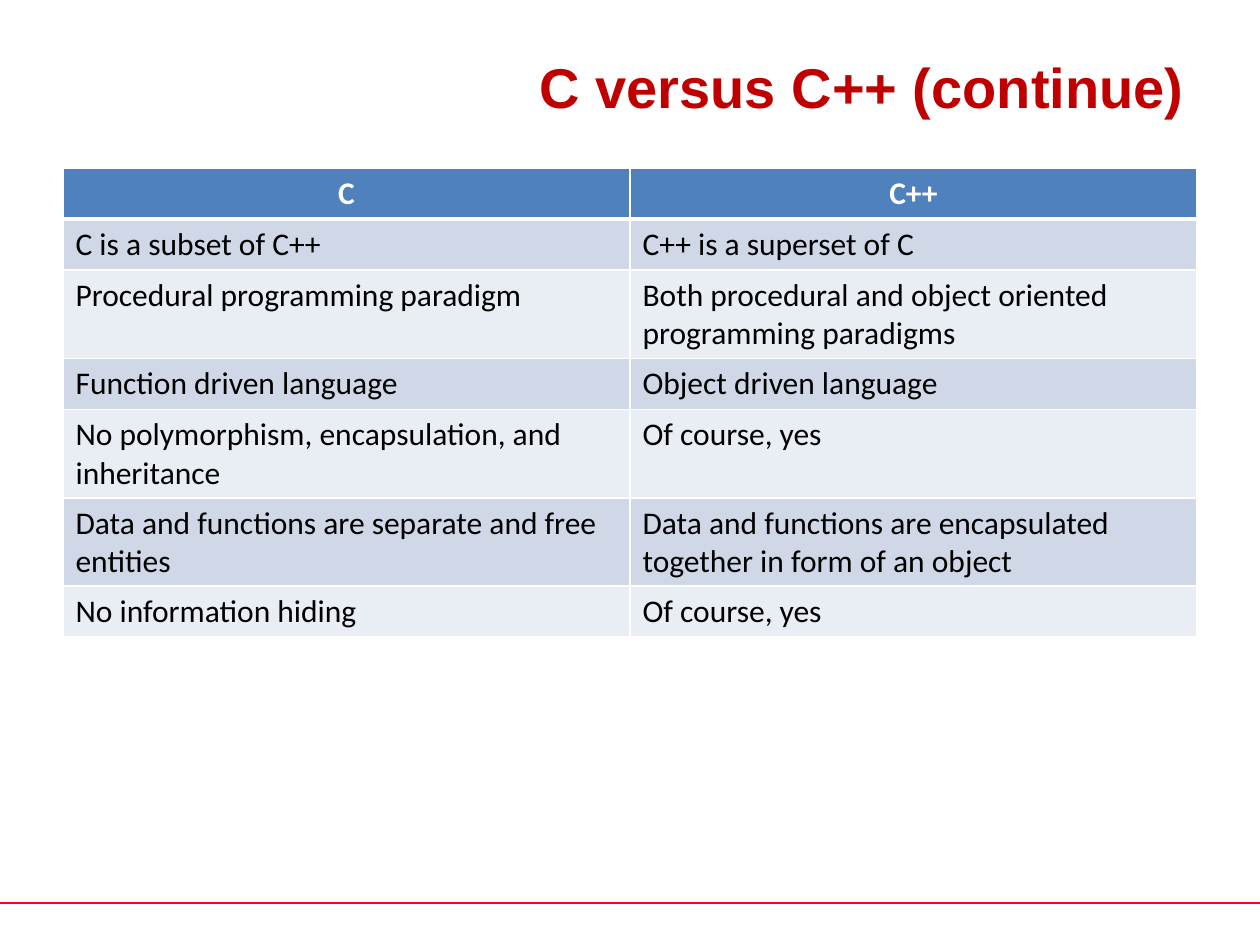
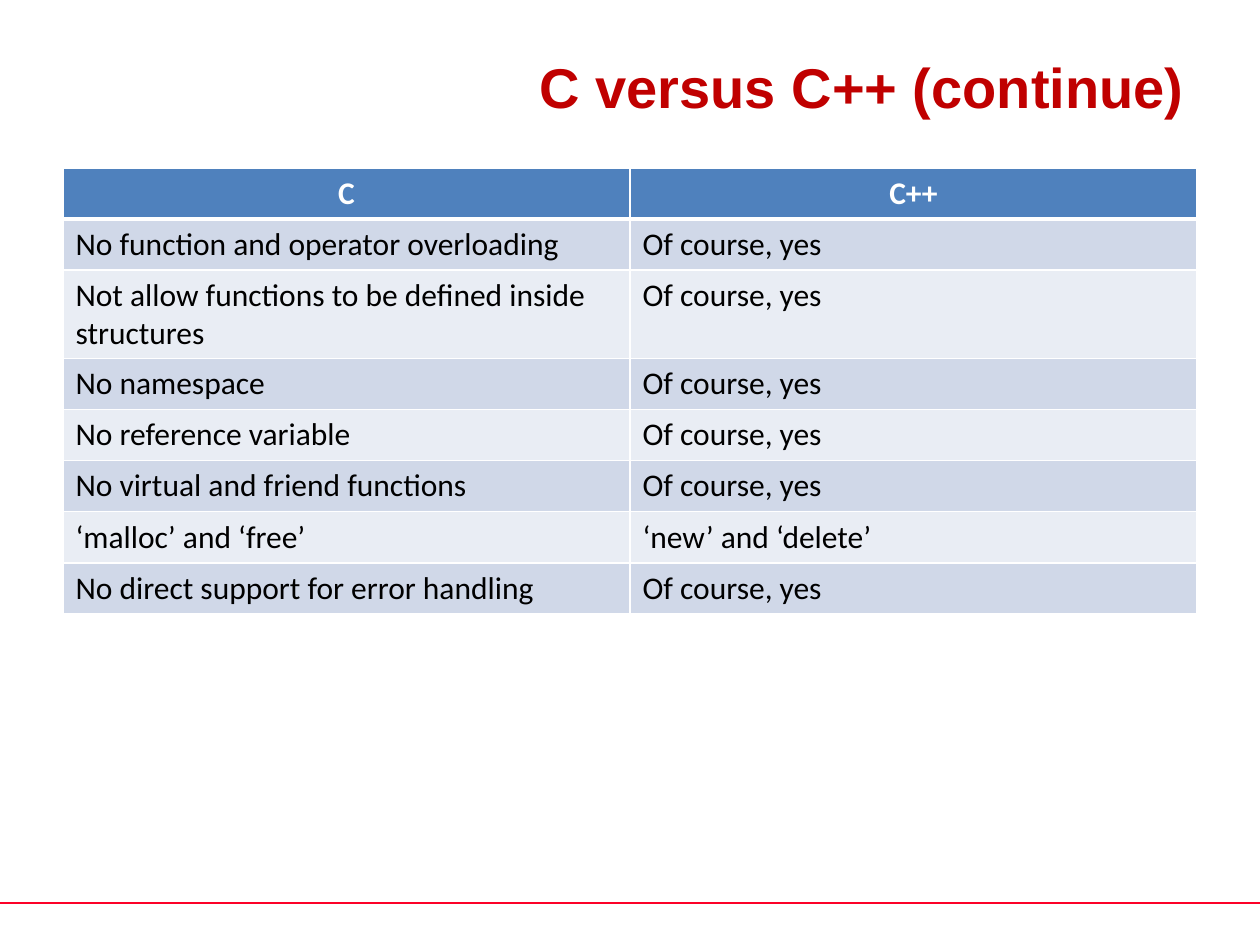
"""Builds two slides of tables comparing C with C++."""
from dataclasses import dataclass

from lxml import etree
from pptx import Presentation, util as u
from pptx.dml.color import RGBColor
from pptx.enum import shapes, text
from pptx.oxml import ns


@dataclass(frozen=True)
class Theme:
    title: str = "C00000"
    rule: str = "FC0128"
    header: str = "4F81BD"
    bands: tuple = ("D0D8E8", "E9EDF4")
    white: str = "FFFFFF"
    ink: str = "000000"
    title_font: str = "Arial"
    body_font: str = "Calibri"
    title_size: int = 32
    body_size: int = 18
    thin: int = 1
    thick: int = 3


theme = Theme()
Align = text.PP_ALIGN
YES = "Of course, yes"
TITLE = "C versus C++ (continue)"
HEADINGS = ("C", "C++")
COMPARISONS = [
    [
        ("C is a subset of C++", "C++ is a superset of C"),
        ("Procedural programming paradigm",
         "Both procedural and object oriented programming paradigms"),
        ("Function driven language", "Object driven language"),
        ("No polymorphism, encapsulation, and inheritance", YES),
        ("Data and functions are separate and free entities",
         "Data and functions are encapsulated together in form of an object"),
        ("No information hiding", YES),
    ],
    [
        ("No function and operator overloading", YES),
        ("Not allow functions to be defined inside structures", YES),
        ("No namespace", YES),
        ("No reference variable", YES),
        ("No virtual and friend functions", YES),
        ("‘malloc’ and ‘free’", "‘new’ and ‘delete’"),
        ("No direct support for error handling", YES),
    ],
]


def write(frame, words, *, font=theme.body_font, size=theme.body_size,
          color=theme.ink, bold=False, align=Align.LEFT):
    frame.word_wrap = True
    paragraph = frame.paragraphs[0]
    paragraph.alignment = align
    run = paragraph.add_run()
    run.text = words
    run.font.name, run.font.size, run.font.bold = font, u.Pt(size), bold
    run.font.color.rgb = RGBColor.from_string(color)


def draw_border(cell, side, points):
    border = etree.SubElement(cell._tc.get_or_add_tcPr(), ns.qn(f"a:ln{side}"),
                              w=str(u.Pt(points)))
    fill = etree.SubElement(border, ns.qn("a:solidFill"))
    etree.SubElement(fill, ns.qn("a:srgbClr"), val=theme.white)


deck = Presentation()
deck.slide_width, deck.slide_height = u.Inches(10), u.Inches(7.5)
column, row = deck.slide_width // 20, deck.slide_height // 45
line_height = u.Pt(29.2)

for comparison in COMPARISONS:
    slide = deck.slides.add_slide(deck.slide_layouts[6])

    footer_rule = slide.shapes.add_connector(
        shapes.MSO_CONNECTOR.STRAIGHT, 0, 43 * row, deck.slide_width, 43 * row)
    footer_rule.line.color.rgb = RGBColor.from_string(theme.rule)
    footer_rule.line.width = u.Pt(0.75)
    etree.SubElement(footer_rule._element.spPr, ns.qn("a:effectLst"))

    heading = slide.shapes.add_textbox(column, 0, 18 * column, 6 * row).text_frame
    heading.vertical_anchor = text.MSO_ANCHOR.BOTTOM
    write(heading, TITLE, font=theme.title_font, size=theme.title_size,
          color=theme.title, bold=True, align=Align.RIGHT)

    entries = [HEADINGS, *comparison]
    grid = slide.shapes.add_table(
        len(entries), len(HEADINGS), column, 8 * row, 18 * column,
        line_height * len(entries)).table
    for r, entry in enumerate(entries):
        grid.rows[r].height = line_height
        is_header = r == 0
        for c, words in enumerate(entry):
            cell = grid.cell(r, c)
            for side in "LRTB":
                under_header = (r, side) in ((0, "B"), (1, "T"))
                draw_border(cell, side, theme.thick if under_header else theme.thin)
            cell.fill.solid()
            cell.fill.fore_color.rgb = RGBColor.from_string(
                theme.header if is_header else theme.bands[(r - 1) % 2])
            write(cell.text_frame, words, bold=is_header,
                  color=theme.white if is_header else theme.ink,
                  align=Align.CENTER if is_header else Align.LEFT)

deck.save("out.pptx")
